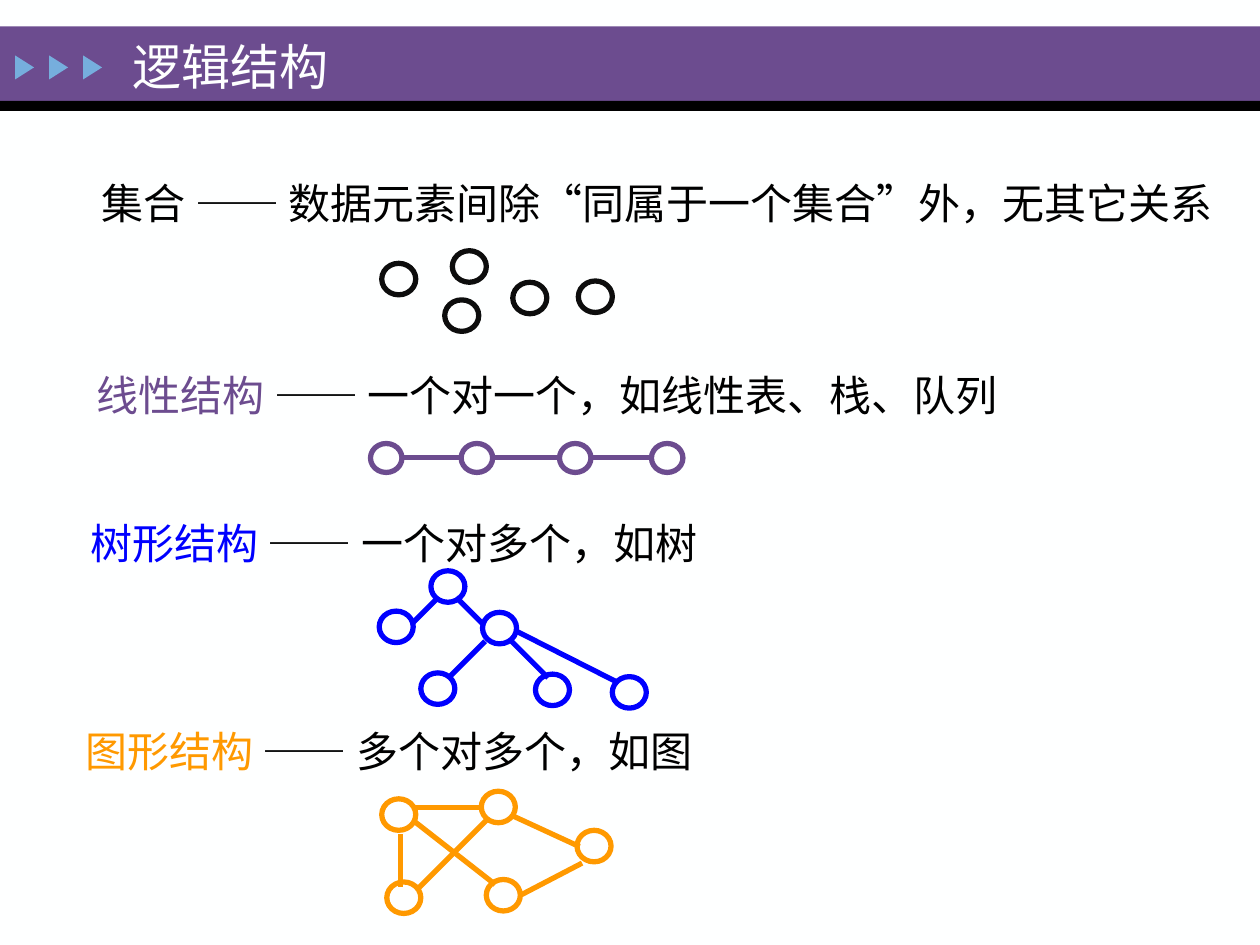
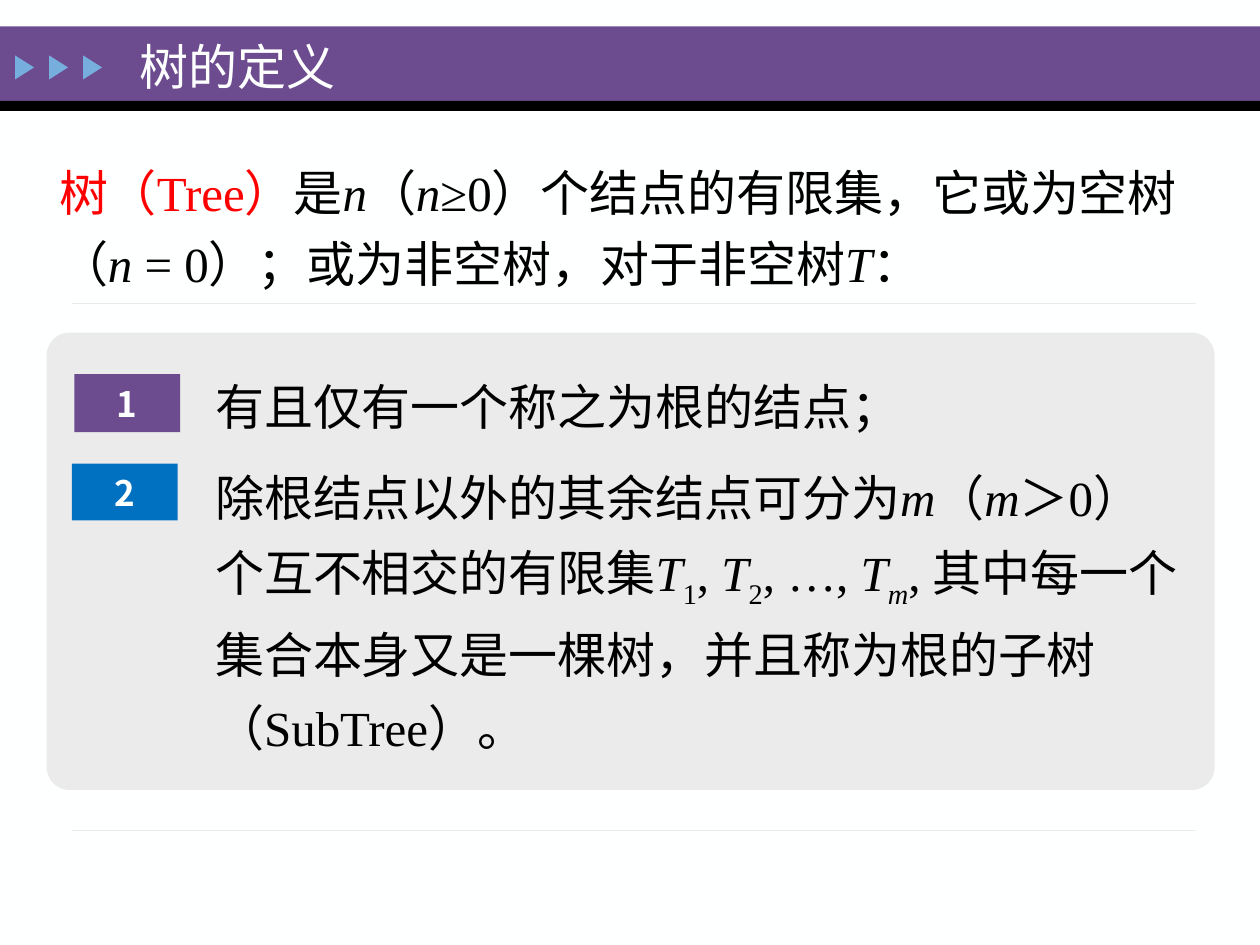
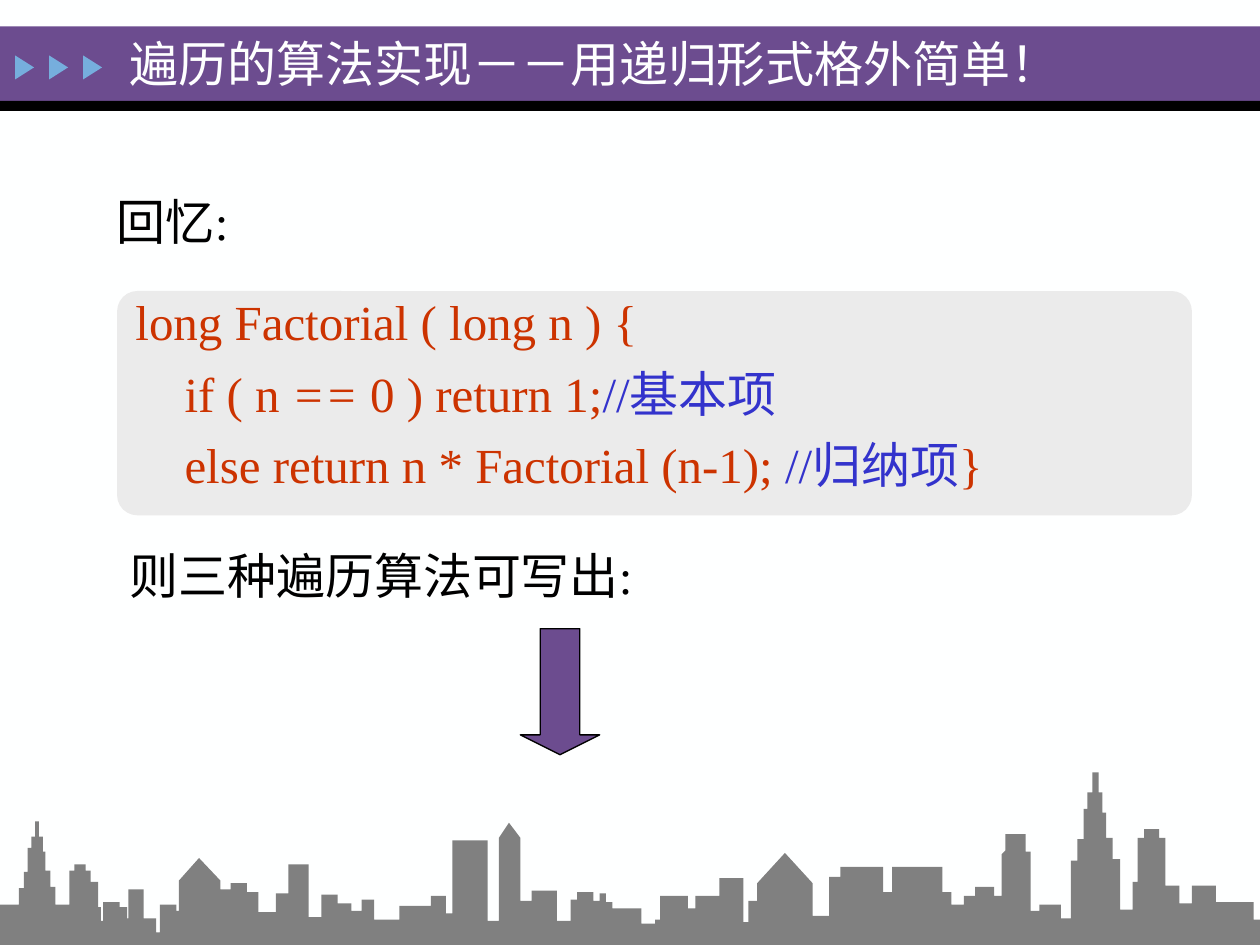
from lxml import etree
from pptx import Presentation
from pptx.dml.color import RGBColor
from pptx.enum.lang import MSO_LANGUAGE_ID
from pptx.enum.shapes import MSO_CONNECTOR, MSO_SHAPE
from pptx.enum.text import MSO_ANCHOR, MSO_AUTO_SIZE, PP_ALIGN
from pptx.oxml.ns import qn
from pptx.util import Pt

# Lengths are in px, 100 px to the inch
PX = 9144
WIDTH, HEIGHT = 1000, 750

PURPLE, BLACK, WHITE = "6C4C8F", "000000", "FEFFFF"
SKY, GREY, CITY = "76AEDD", "EBEBEB", "808080"
BLUE, ORANGE, INK, BADGE_BLUE = "0000FF", "FF9900", "0D0D0D", "0070C0"
RED, CODE, COMMENT = "FF0000", "CC3300", "3333CC"
LATIN, CHINESE = "Times New Roman", "Noto Sans CJK SC"

RECTANGLE, ROUNDED = MSO_SHAPE.RECTANGLE, MSO_SHAPE.ROUNDED_RECTANGLE
TRIANGLE, OVAL = MSO_SHAPE.ISOSCELES_TRIANGLE, MSO_SHAPE.OVAL
DOWN_ARROW = MSO_SHAPE.DOWN_ARROW
STRAIGHT = MSO_CONNECTOR.STRAIGHT
TOP, MIDDLE = MSO_ANCHOR.TOP, MSO_ANCHOR.MIDDLE
LEFT, CENTER = PP_ALIGN.LEFT, PP_ALIGN.CENTER
FIXED, GROW = MSO_AUTO_SIZE.NONE, MSO_AUTO_SIZE.SHAPE_TO_FIT_TEXT
ZH_CN = MSO_LANGUAGE_ID.SIMPLIFIED_CHINESE

BODY = {"size": Pt(28), "name": LATIN, "language_id": ZH_CN}
ITALIC = {"italic": True}
SUBSCRIPT = {"baseline": -25000}


def add_shape(slide, kind, box, fill=None, line=None, line_width=0.75):
    """Add a preset shape, or a text box when kind is None."""
    left, top, width, height = [PX * length for length in box]
    if kind is None:
        return slide.shapes.add_textbox(left, top, width, height)
    shape = slide.shapes.add_shape(kind, left, top, width, height)
    shape.shadow.inherit = False
    if fill:
        shape.fill.solid()
        shape.fill.fore_color.rgb = RGBColor.from_string(fill)
    else:
        shape.fill.background()
    if line:
        shape.line.color.rgb = RGBColor.from_string(line)
        shape.line.width = Pt(line_width)
    else:
        shape.line.fill.background()
    return shape


def write(shape, paragraphs, color=BLACK, font=BODY, layout=None, frame=None):
    """Fill a shape with paragraphs, each a list of (text, changes) runs."""
    text_frame = shape.text_frame
    frame_format = {"word_wrap": True, "auto_size": GROW, "vertical_anchor": TOP}
    for name, value in {**frame_format, **(frame or {})}.items():
        setattr(text_frame, name, value)
    for index, runs in enumerate(paragraphs):
        paragraph = text_frame.add_paragraph() if index else text_frame.paragraphs[0]
        for name, value in {"alignment": LEFT, **(layout or {})}.items():
            setattr(paragraph, name, value)
        for text, changes in runs:
            run = paragraph.add_run()
            run.text = text
            settings = {**font, "color": color, **changes}
            run.font.color.rgb = RGBColor.from_string(settings.pop("color"))
            baseline = settings.pop("baseline", 0)
            for name, value in settings.items():
                setattr(run.font, name, value)
            properties = run.font._element
            if baseline:
                properties.set("baseline", str(baseline))
            etree.SubElement(properties, qn("a:ea"), typeface=CHINESE)


presentation = Presentation()
presentation.slide_width, presentation.slide_height = PX * WIDTH, PX * HEIGHT
title_only = presentation.slide_layouts[5]
title_only.background.fill.solid()
title_only.background.fill.fore_color.rgb = RGBColor.from_string(WHITE)

# Slides and their titles
titles = [
    ("逻辑结构", (95, 21, 257, 62)),
    ("树的定义", (101, 24, 269, 56)),
    ("遍历的算法实现－－用递归形式格外简单！", (93, 22, 905, 56)),
]
slides = []
for text, box in titles:
    slide = presentation.slides.add_slide(title_only)
    title = slide.shapes.title
    title.left, title.top, title.width, title.height = [PX * length for length in box]
    write(title, [[(text, {})]], WHITE,
          frame={"auto_size": FIXED, "vertical_anchor": MIDDLE})
    slides.append(slide)
structures, definition, traversal = slides

# Shared band and arrows, moved to the layout
header = [
    add_shape(structures, RECTANGLE, (0, 21, WIDTH, 59), PURPLE),
    add_shape(structures, RECTANGLE, (0, 80, WIDTH, 8), BLACK),
]
for index in range(3):
    triangle = add_shape(structures, TRIANGLE, (10 + 27 * index, 46, 19, 15), SKY)
    triangle.rotation = 90
    header.append(triangle)
for shape in header:
    title_only.shapes.element.append(shape.element)

lines = []  # slide, ends, colour, width

# Slide 1: the four structures
descriptions = [
    ("集合", " —— 数据元素间除“同属于一个集合”外，无其它关系", BLACK, (71, 136, 912, 51)),
    ("线性结构", " —— 一个对一个，如线性表、栈、队列", PURPLE, (67, 288, 744, 51)),
    ("树形结构", " —— 一个对多个，如树", BLUE, (62, 406, 508, 51)),
    ("图形结构", " —— 多个对多个，如图", ORANGE, (58, 571, 508, 51)),
]
for name, description, color, box in descriptions:
    write(add_shape(structures, None, box), [[(name, {"color": color}), (description, {})]],
          font={**BODY, "size": Pt(24)}, frame={"word_wrap": False})

# Slide 1: nodes and edges of each diagram
diagrams = [
    (INK, (27, 25), [(303, 209), (359, 199), (353, 238), (407, 224), (459, 223)], []),
    (PURPLE, (25, 23), [(294, 352), (366, 352), (444, 352), (517, 352)],
     [(319, 363, 365, 363), (390, 363, 444, 363), (471, 363, 516, 363)]),
    (BLUE, (27, 25),
     [(342, 453), (301, 485), (383, 486), (334, 534), (425, 535), (486, 537)],
     [(346, 476, 327, 495), (385, 509, 356, 538), (362, 474, 383, 495),
      (404, 507, 435, 538), (410, 501, 491, 542)]),
    (ORANGE, (27, 25), [(382, 628), (307, 700), (386, 698), (458, 659), (303, 634)],
     [(318, 662, 318, 704), (329, 652, 393, 702), (408, 648, 460, 672),
      (387, 650, 331, 706), (462, 685, 414, 710), (329, 641, 383, 641)]),
]
for color, node_size, nodes, edges in diagrams:
    for node in nodes:
        add_shape(structures, OVAL, node + node_size, line=color, line_width=3)
    lines += [(structures, edge, color, 3) for edge in edges]

# Slide 2: definition and its two conditions
panel = add_shape(definition, ROUNDED, (37, 264, 927, 363), GREY)
panel.adjustments[0] = 0.05
write(add_shape(definition, None, (37, 115, 939, 123)), [[
    ("树（Tree）", {"color": RED}), ("是", {}), ("n", ITALIC), ("（", {}), ("n", ITALIC),
    ("≥0）个结点的有限集，它或为空树（", {}), ("n ", ITALIC),
    ("= 0）；或为非空树，对于非空树", {}), ("T", ITALIC), ("：", {}),
]], layout={"line_spacing": 1.2, "space_before": Pt(6)})

badges = [("1", PURPLE, (59, 297, 84, 46)), ("2", BADGE_BLUE, (57, 368, 84, 45))]
for number, color, box in badges:
    write(add_shape(definition, RECTANGLE, box, color), [[(number, {})]], WHITE,
          {"size": Pt(20), "name": CHINESE, "bold": True},
          {"alignment": CENTER, "space_before": Pt(4)},
          {"auto_size": FIXED, "vertical_anchor": MIDDLE})

write(add_shape(definition, None, (161, 282, 787, 313)), [
    [("有且仅有一个称之为根的结点；", {})],
    [("除根结点以外的其余结点可分为", {}), ("m", ITALIC), ("（", {}), ("m", ITALIC),
     ("＞0）个互不相交的有限集", {}), ("T", ITALIC), ("1", SUBSCRIPT), (", ", {}),
     ("T", ITALIC), ("2", SUBSCRIPT), (", …, ", {}), ("T", ITALIC),
     ("m", {**ITALIC, **SUBSCRIPT}),
     (", 其中每一个集合本身又是一棵树，并且称为根的子树（SubTree）。", {})],
], layout={"line_spacing": 1.25, "space_before": Pt(10)})
lines += [(definition, (57, y, 949, y), GREY, 0.75) for y in (241, 659)]

# Slide 3: recursive example
for text, box in [("回忆:", (83, 147, 126, 57)), ("则三种遍历算法可写出:", (93, 428, 451, 57))]:
    write(add_shape(traversal, None, box), [[(text, {})]])

code = add_shape(traversal, ROUNDED, (93, 231, 853, 178), GREY)
code.adjustments[0] = 0.09
write(code, [
    [("long Factorial ( long n ) {", {})],
    [("if ( n", {}), (" ==", ITALIC), (" 0 ) return 1;", {}), ("//基本项", {"color": COMMENT})],
    [("else return n * Factorial (n", {}), ("-", ITALIC), ("1); ", {}),
     ("//归纳项", {"color": COMMENT}), ("}", {})],
], CODE, layout={"line_spacing": 0.8, "space_before": Pt(14)}, frame={"auto_size": FIXED})
for paragraph in code.text_frame.paragraphs[1:]:
    paragraph._p.get_or_add_pPr().set("marL", str(39 * PX))

arrow = add_shape(traversal, DOWN_ARROW, (413, 499, 63, 100), PURPLE, BLACK)
arrow.adjustments[0], arrow.adjustments[1] = 0.5, 0.25

# Slide 3: skyline, each step a left edge and roof height, then a ridge point if gabled
skyline_steps = [
    (0, 718), (15, 705), (19, 692), (22, 673), (25, 664), (28, 652), (31, 664), (34, 676),
    (36, 691), (40, 704), (44, 718), (55, 691), (59, 686), (68, 691), (72, 700), (78, 720),
    (80, 731), (82, 716), (95, 720), (101, 729), (102, 706), (114, 729), (124, 740),
    (127, 718), (140, 723), (142, 699, 158, 681), (175, 706), (183, 701), (196, 708),
    (205, 724), (219, 709), (229, 686), (245, 728), (255, 710), (268, 717), (279, 723),
    (287, 714), (297, 730), (317, 719), (342, 711), (354, 725), (359, 667), (387, 731),
    (396, 665, 404, 653), (413, 715), (422, 707), (442, 731), (453, 714), (458, 708),
    (471, 715), (476, 709), (481, 716), (486, 721), (509, 733), (520, 730), (524, 711),
    (546, 721), (552, 711), (571, 697), (590, 732), (594, 715), (601, 701, 623, 677),
    (645, 727), (658, 696), (667, 688), (701, 708), (708, 688), (748, 708), (755, 718),
    (765, 711), (774, 704), (789, 711), (795, 678, 798, 675), (798, 662), (814, 676),
    (818, 723), (825, 718), (842, 729), (850, 683), (855, 666), (860, 642), (863, 629),
    (867, 613), (872, 629), (875, 645), (878, 665), (883, 682), (889, 722), (899, 700),
    (903, 665), (908, 658), (920, 665), (925, 703), (936, 717), (946, 703), (965, 716),
    (995, 730),
]
right_edges = [step[0] for step in skyline_steps[1:]] + [WIDTH]
outline = []
for (left, roof, *ridge), right in zip(skyline_steps, right_edges):
    outline.append((left, roof))
    if ridge:
        outline.append(tuple(ridge))
    outline.append((right, roof))
builder = traversal.shapes.build_freeform(0, HEIGHT, scale=PX)
builder.add_line_segments(outline + [(WIDTH, HEIGHT)], close=True)
skyline = builder.convert_to_shape()
skyline.shadow.inherit = False
skyline.fill.solid()
skyline.fill.fore_color.rgb = RGBColor.from_string(CITY)
skyline.line.fill.background()

# Edges and rules
for slide, ends, color, line_width in lines:
    connector = slide.shapes.add_connector(STRAIGHT, *[PX * length for length in ends])
    connector.line.color.rgb = RGBColor.from_string(color)
    connector.line.width = Pt(line_width)
    etree.SubElement(connector.element.spPr, qn("a:effectLst"))

presentation.save("out.pptx")
